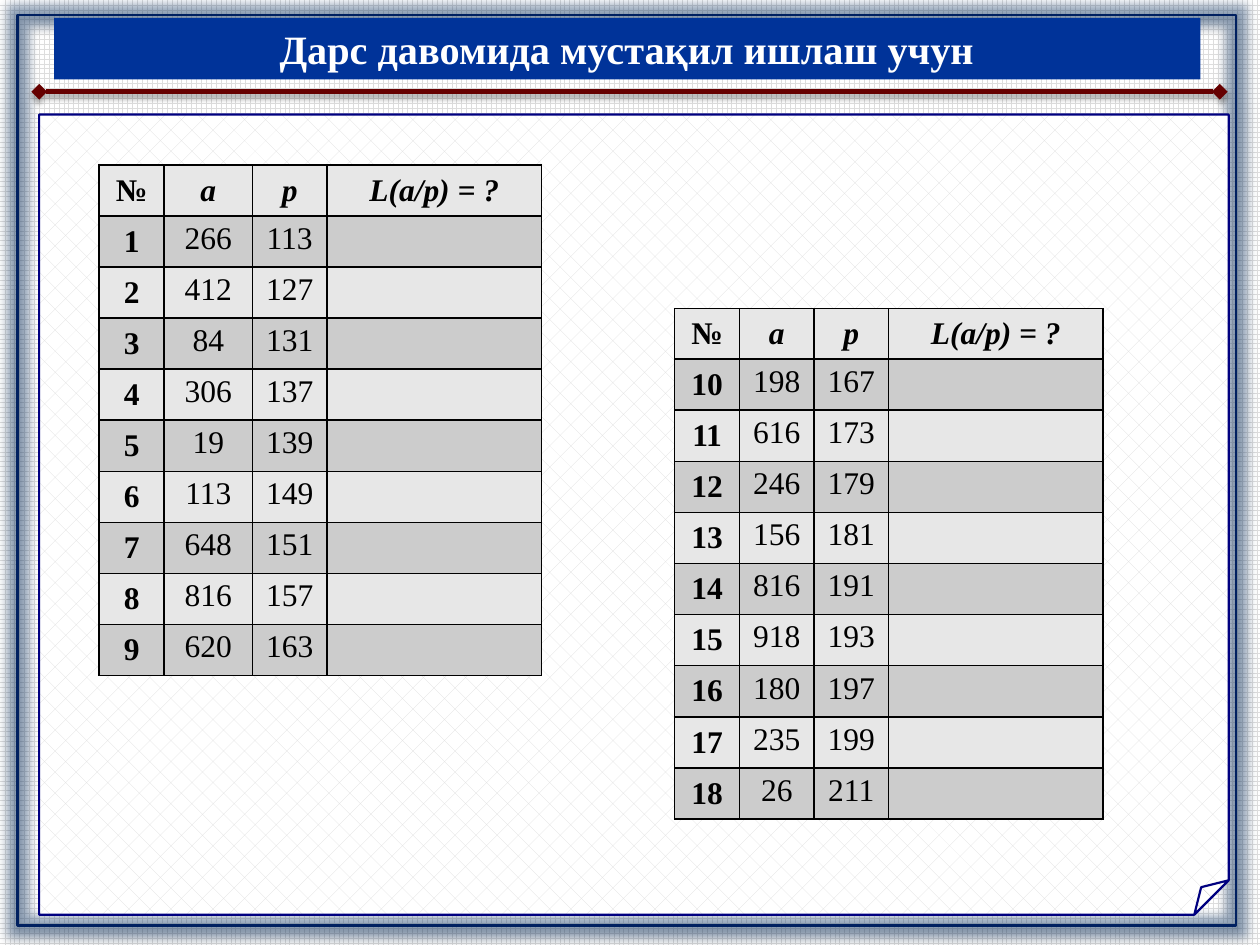
from lxml.etree import SubElement
from pptx import Presentation
from pptx.dml.color import RGBColor
from pptx.enum.dml import MSO_PATTERN as Pattern
from pptx.enum.shapes import MSO_CONNECTOR as Connector, MSO_SHAPE as Shape
from pptx.enum.text import MSO_ANCHOR as Anchor, PP_ALIGN as Align
from pptx.oxml import parse_xml
from pptx.oxml.ns import nsdecls, qn
from pptx.util import Cm, Pt

FONT = "Times New Roman"
HEADINGS = ["№", "a", "p", "L(a/p) = ?"]
BANDS = ["E7E7E7", "CCCCCC"]
ROW_HEIGHT = 1.02
FIRST_PAIRS = [(266, 113), (412, 127), (84, 131), (306, 137), (19, 139),
               (113, 149), (648, 151), (816, 157), (620, 163)]
SECOND_PAIRS = [(198, 167), (616, 173), (246, 179), (156, 181), (816, 191),
                (918, 193), (180, 197), (235, 199), (26, 211)]


def color(value):
    return RGBColor.from_string(value)


def set_line(line, value, width):
    line.color.rgb = color(value)
    line.width = Pt(width)


def set_pattern(fill, pattern):
    fill.patterned()
    fill.pattern = pattern
    fill.fore_color.rgb = color("DDDDDD")
    fill.back_color.rgb = color("FFFFFF")


def add_effects(shape, glow=""):
    """Give the shape a soft drop shadow, after an optional glow."""
    properties = shape.element.spPr
    for old in properties.findall(qn("a:effectLst")):
        properties.remove(old)
    properties.append(parse_xml(
        f'<a:effectLst {nsdecls("a")}>{glow}'
        '<a:outerShdw blurRad="39370" dist="22860" dir="5400000" rotWithShape="0">'
        '<a:srgbClr val="000000"><a:alpha val="35000"/></a:srgbClr>'
        '</a:outerShdw></a:effectLst>'))


def add_text(para, text, size, value, bold=False, italic=False):
    para.alignment = Align.CENTER
    span = para.add_run()
    span.text = text
    font = span.font
    font.name, font.size = FONT, Pt(size)
    font.bold, font.italic = bold, italic
    font.color.rgb = color(value)


def add_frame(page, left, top, width, height):
    frame = page.shapes.add_shape(Shape.FLOWCHART_PROCESS, Cm(left), Cm(top),
                                  Cm(width), Cm(height))
    frame.fill.background()
    set_line(frame.line, "002060", 1.5)
    add_effects(frame, '<a:glow rad="139700"><a:srgbClr val="1F497D">'
                       '<a:alpha val="40000"/></a:srgbClr></a:glow>')
    return frame


def place_title(page, text, left, top, width, height):
    title = page.shapes.title
    title.left, title.top = Cm(left), Cm(top)
    title.width, title.height = Cm(width), Cm(height)
    title.fill.solid()
    title.fill.fore_color.rgb = color("003399")
    box = title.text_frame
    box.word_wrap = True
    box.vertical_anchor = Anchor.MIDDLE
    add_text(box.paragraphs[0], text, 23, "FFFFFF", bold=True)
    return title


def add_divider(page, left, top, width):
    divider = page.shapes.add_connector(Connector.STRAIGHT, Cm(left), Cm(top),
                                        Cm(left + width), Cm(top))
    set_line(divider.line, "660000", 3)
    line = divider.element.spPr.find(qn("a:ln"))
    for end in ("a:headEnd", "a:tailEnd"):
        SubElement(line, qn(end), type="diamond")
    add_effects(divider)


def add_panel(page, left, top, width, height):
    panel = page.shapes.add_shape(Shape.FOLDED_CORNER, Cm(left), Cm(top),
                                  Cm(width), Cm(height))
    panel.shadow.inherit = False
    geometry = panel.element.spPr.find(qn("a:prstGeom"))
    SubElement(geometry.find(qn("a:avLst")), qn("a:gd"),
               name="adj", fmla="val 4300")
    set_pattern(panel.fill, Pattern.DOTTED_DIAMOND)
    set_line(panel.line, "000080", 1.25)


def format_cell(cell, band):
    cell.fill.solid()
    cell.fill.fore_color.rgb = color(band)
    for index, side in enumerate(("lnL", "lnR", "lnT", "lnB")):
        border = parse_xml(f'<a:{side} {nsdecls("a")} w="12700"><a:solidFill>'
                           f'<a:srgbClr val="000000"/></a:solidFill></a:{side}>')
        cell._tc.get_or_add_tcPr().insert(index, border)


def add_heading(cell, text, italic=False):
    cell.vertical_anchor = Anchor.MIDDLE
    add_text(cell.text_frame.paragraphs[0], text, 18, "000000", True, italic)


def add_number(cell, number, inset):
    cell.margin_left = cell.margin_right = Cm(inset)
    cell.margin_top = cell.margin_bottom = 0
    para = cell.text_frame.paragraphs[0]
    para.line_spacing = 1.15
    add_text(para, str(number), 18, "000000")


def add_exercises(page, first_number, pairs, left, top, widths, inset):
    """Table of numbered a, p pairs with an empty answer column."""
    count = len(pairs) + 1
    table = page.shapes.add_table(count, len(widths), Cm(left), Cm(top),
                                  Cm(sum(widths)), Cm(ROW_HEIGHT * count)).table
    table.first_row = table.horz_banding = False
    for column, width in zip(table.columns, widths):
        column.width = Cm(width)
    for index, row in enumerate(table.rows):
        row.height = Cm(ROW_HEIGHT)
        for cell in row.cells:
            format_cell(cell, BANDS[index % 2])
    for column, text in enumerate(HEADINGS):
        add_heading(table.cell(0, column), text, italic=column > 0)
    for row, pair in enumerate(pairs, start=1):
        add_heading(table.cell(row, 0), str(first_number + row - 1))
        for column, number in enumerate(pair, start=1):
            add_number(table.cell(row, column), number, inset)


def main():
    deck = Presentation()
    deck.slide_width, deck.slide_height = Cm(25.4), Cm(19.05)
    page = deck.slides.add_slide(deck.slide_layouts[5])
    set_pattern(page.background.fill, Pattern.LARGE_GRID)
    frame = add_frame(page, 0.36, 0.3, 24.56, 18.36)
    add_divider(page, 0.79, 1.85, 23.8)
    title = place_title(page, "Дарс давомида мустақил ишлаш учун",
                        1.09, 0.36, 23.11, 1.24)
    frame.element.addnext(title.element)
    add_panel(page, 0.79, 2.31, 23.98, 16.13)
    add_exercises(page, 1, FIRST_PAIRS, 2, 3.33, [1.31, 1.78, 1.5, 4.33], 0.2)
    add_exercises(page, 10, SECOND_PAIRS, 13.6, 6.22, [1.31, 1.5, 1.5, 4.33], 0.18)
    deck.save("out.pptx")


if __name__ == "__main__":
    main()
